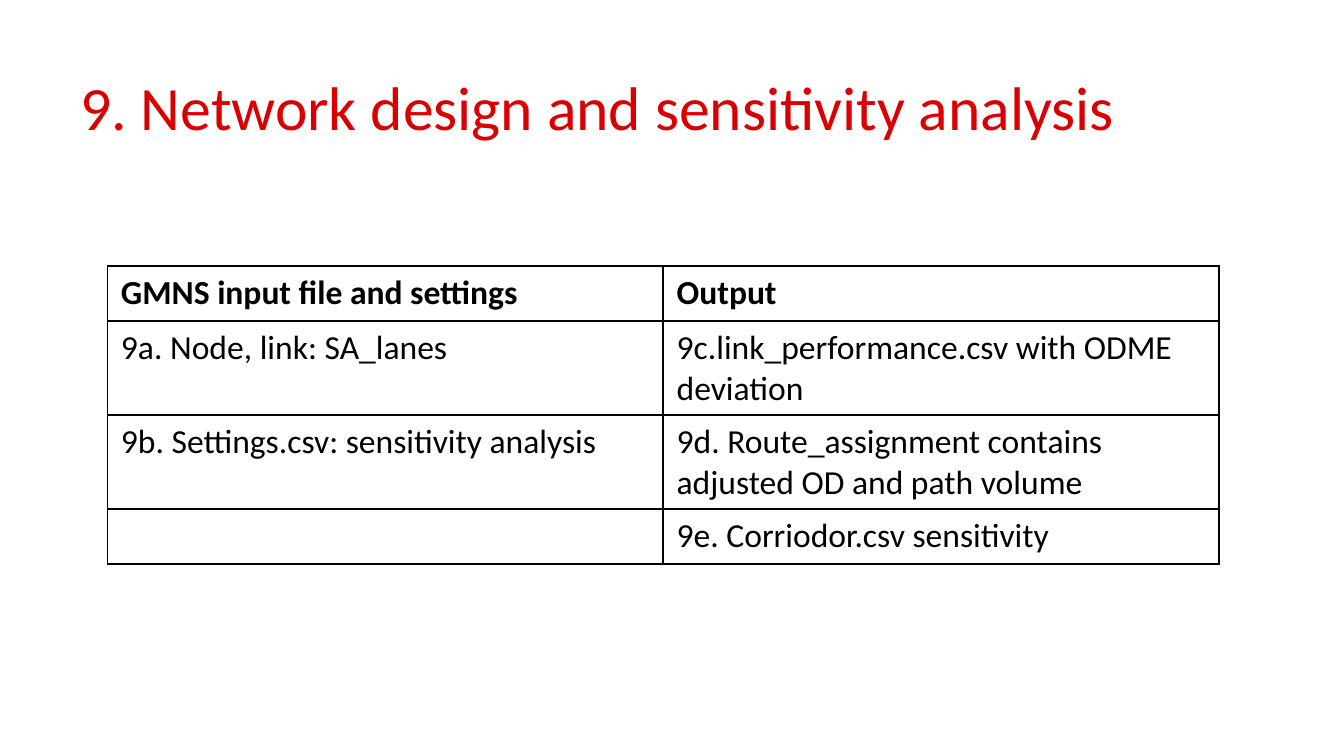
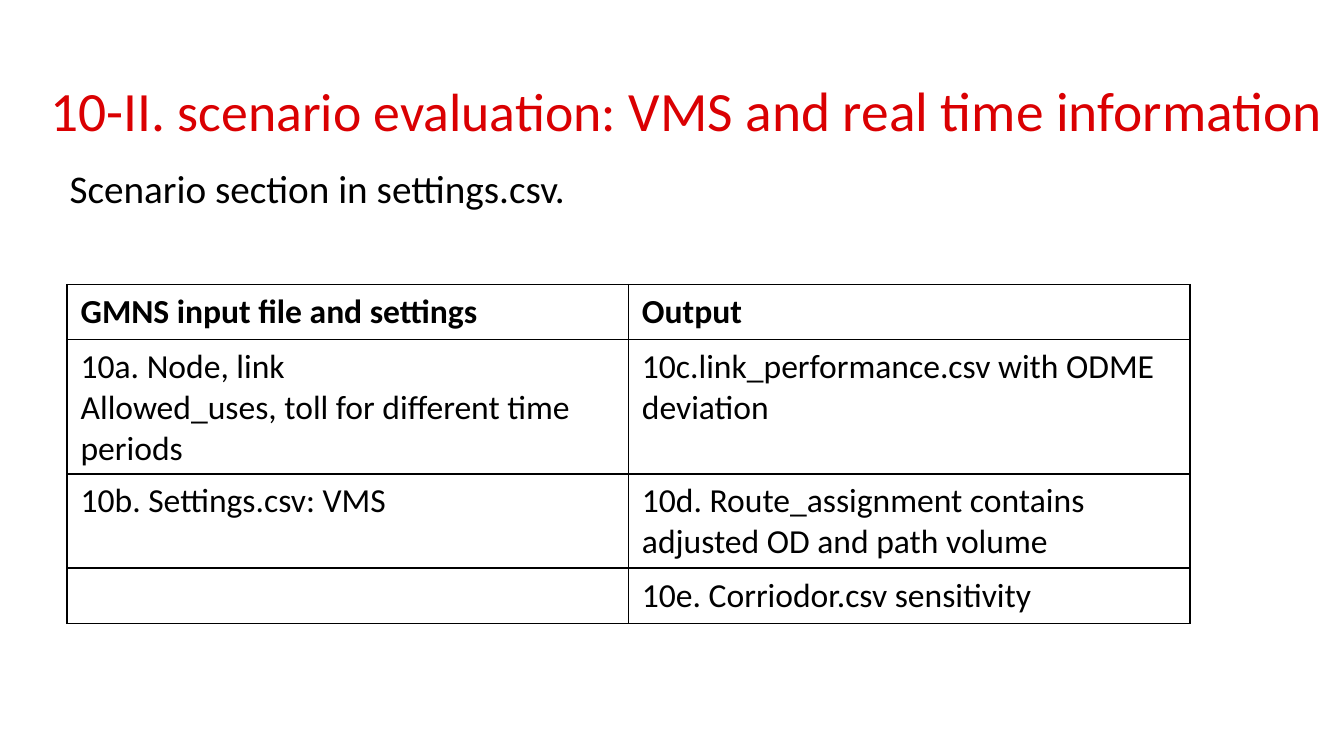
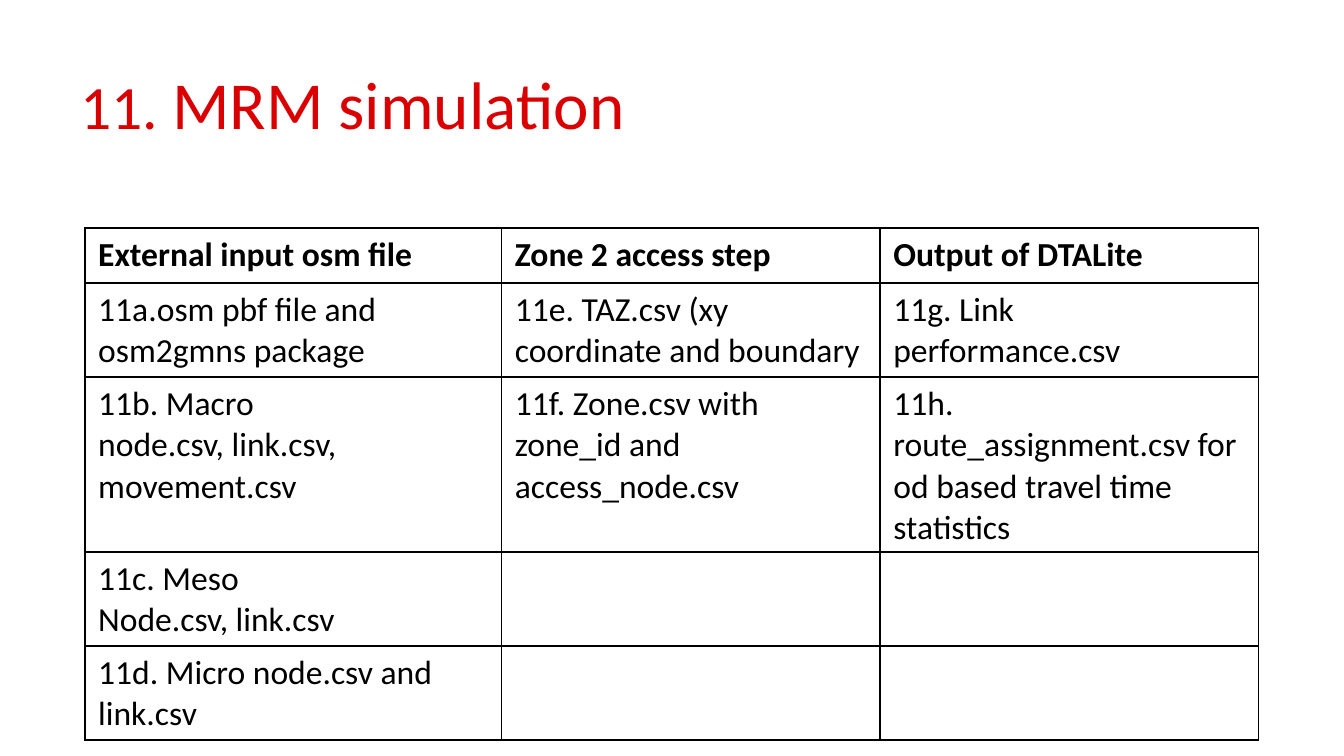
from pptx import Presentation
from pptx.dml.color import RGBColor as RGB
from pptx.enum.text import MSO_ANCHOR as Anchor
from pptx.oxml import parse_xml
from pptx.oxml.ns import nsdecls
from pptx.util import Pt

COLORS = {"title": "DA0002", "text": "000000", "border": "000000", "page": "FFFFFF"}
FONT = "Calibri"
INSET = 7.2
ROW_HEIGHT = 29.5
CELL_SIZE = 18
TITLE_TOP, TITLE_HEIGHT = 16.5, 67.7

# Slide content: title box (left, width), title runs, table place and rows
slides = [
    {
        "title_box": (36, 648),
        "title": [("9. Network design and sensitivity analysis", 33)],
        "table_at": (57.6, 142.4),
        "columns": [297.7, 297.7],
        "rows": [
            ["GMNS input file and settings", "Output"],
            ["9a. Node, link: SA_lanes", "9c.link_performance.csv with ODME deviation"],
            ["9b. Settings.csv: sensitivity analysis",
             "9d. Route_assignment contains adjusted OD and path volume"],
            ["", "9e. Corriodor.csv sensitivity"],
        ],
    },
    {
        "title_box": (19.7, 733.7),
        "title": [("10-II. ", 29.7), ("scenario evaluation: ", 28.8),
                  ("VMS and real time information", 29.7)],
        "body": "Scenario section in settings.csv.",
        "table_at": (36, 152.5),
        "columns": [300.7, 300.7],
        "rows": [
            ["GMNS input file and settings", "Output"],
            ["10a. Node, link\nAllowed_uses, toll for different time periods",
             "10c.link_performance.csv with ODME deviation"],
            ["10b. Settings.csv: VMS",
             "10d. Route_assignment contains adjusted OD and path volume"],
            ["", "10e. Corriodor.csv sensitivity"],
        ],
    },
    {
        "title_box": (36, 648),
        "title": [("11. ", 33), ("MRM simulation", 36)],
        "table_at": (45.4, 122.2),
        "columns": [223.2, 202.8, 202.8],
        "rows": [
            ["External input osm file", "Zone 2 access step", "Output of DTALite"],
            ["11a.osm pbf file and osm2gmns package",
             "11e. TAZ.csv (xy coordinate and boundary", "11g. Link performance.csv"],
            ["11b. Macro\nnode.csv, link.csv, movement.csv",
             "11f. Zone.csv with zone_id and access_node.csv",
             "11h. route_assignment.csv for od based travel time statistics"],
            ["11c. Meso\nNode.csv, link.csv", "", ""],
            ["11d. Micro node.csv and link.csv", "", ""],
        ],
    },
]


def add_run(paragraph, text, size, color, bold=False):
    run = paragraph.add_run()
    run.text = text
    run.font.name = FONT
    run.font.size = Pt(size)
    run.font.bold = bold
    run.font.color.rgb = RGB.from_string(COLORS[color])


def add_text(slide, box, anchor, runs, color):
    frame = slide.shapes.add_textbox(*map(Pt, box)).text_frame
    frame.word_wrap = True
    frame.vertical_anchor = anchor
    frame.margin_left = frame.margin_right = Pt(INSET)
    frame.margin_top = frame.margin_bottom = Pt(INSET)
    paragraph = frame.paragraphs[0]
    paragraph.line_spacing = 0.9
    for text, size in runs:
        add_run(paragraph, text, size, color)


prs = Presentation()
prs.slide_width, prs.slide_height = Pt(720), Pt(405)

for content in slides:
    slide = prs.slides.add_slide(prs.slide_layouts[6])
    slide.background.fill.solid()
    slide.background.fill.fore_color.rgb = RGB.from_string(COLORS["page"])

    # Title and optional body line
    left, width = content["title_box"]
    add_text(slide, (left, TITLE_TOP, width, TITLE_HEIGHT), Anchor.BOTTOM,
             content["title"], "title")
    if "body" in content:
        add_text(slide, (30.2, 83.5, 365, 191.5), Anchor.TOP, [(content["body"], 21)], "text")

    # Table of inputs and outputs
    rows, columns = content["rows"], content["columns"]
    left, top = content["table_at"]
    files = slide.shapes.add_table(len(rows), len(columns), Pt(left), Pt(top),
                                   Pt(sum(columns)), Pt(ROW_HEIGHT * len(rows))).table
    files.first_row = files.horz_banding = False
    for column, width in zip(files.columns, columns):
        column.width = Pt(width)
    for r, row in enumerate(rows):
        files.rows[r].height = Pt(ROW_HEIGHT)
        for c, text in enumerate(row):
            cell = files.cell(r, c)
            # Cell borders come before the fill
            borders = cell._tc.get_or_add_tcPr()
            for side in "LRTB":
                borders.append(parse_xml(
                    f'<a:ln{side} {nsdecls("a")} w="{Pt(1)}"><a:solidFill>'
                    f'<a:srgbClr val="{COLORS["border"]}"/></a:solidFill></a:ln{side}>'))
            cell.fill.background()
            for i, line in enumerate(text.split("\n")):
                paragraph = cell.text_frame.add_paragraph() if i else cell.text_frame.paragraphs[0]
                if line:
                    add_run(paragraph, line, CELL_SIZE, "text", bold=r == 0)
                else:
                    paragraph.font.size = Pt(CELL_SIZE)

prs.save("out.pptx")
